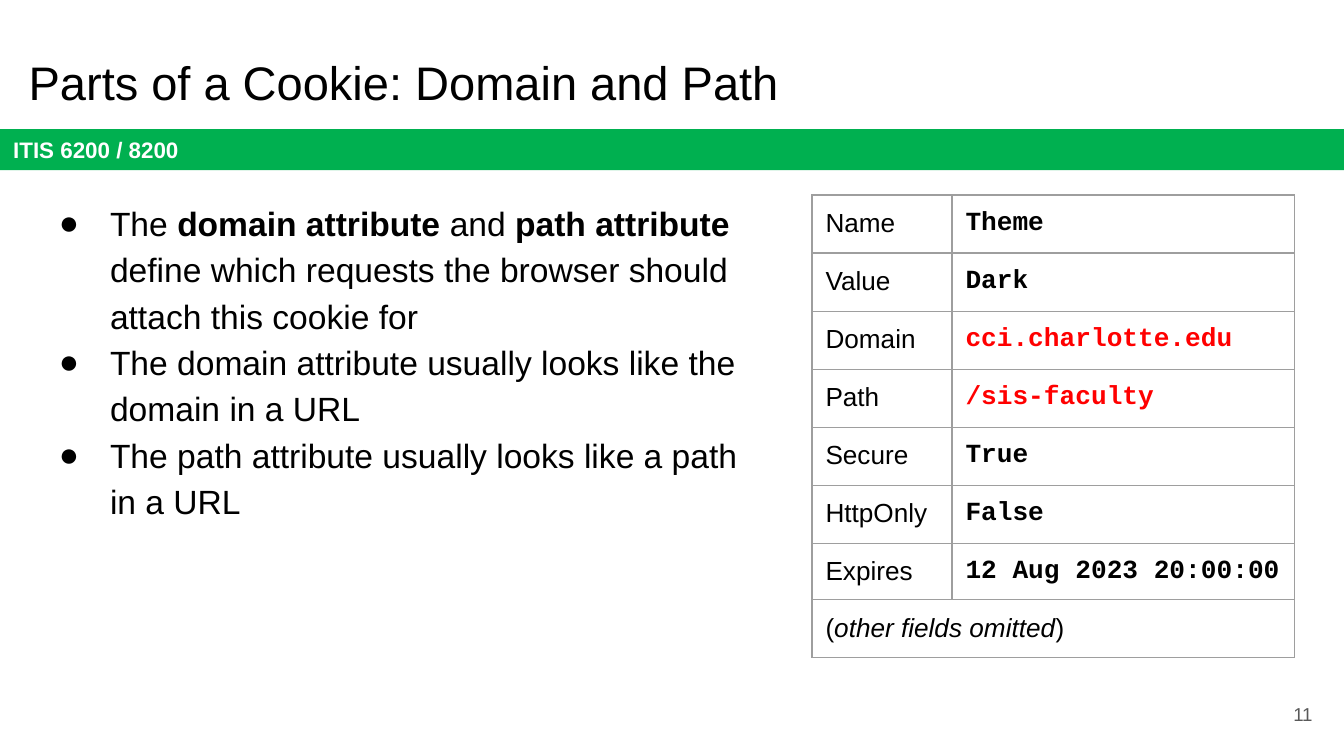
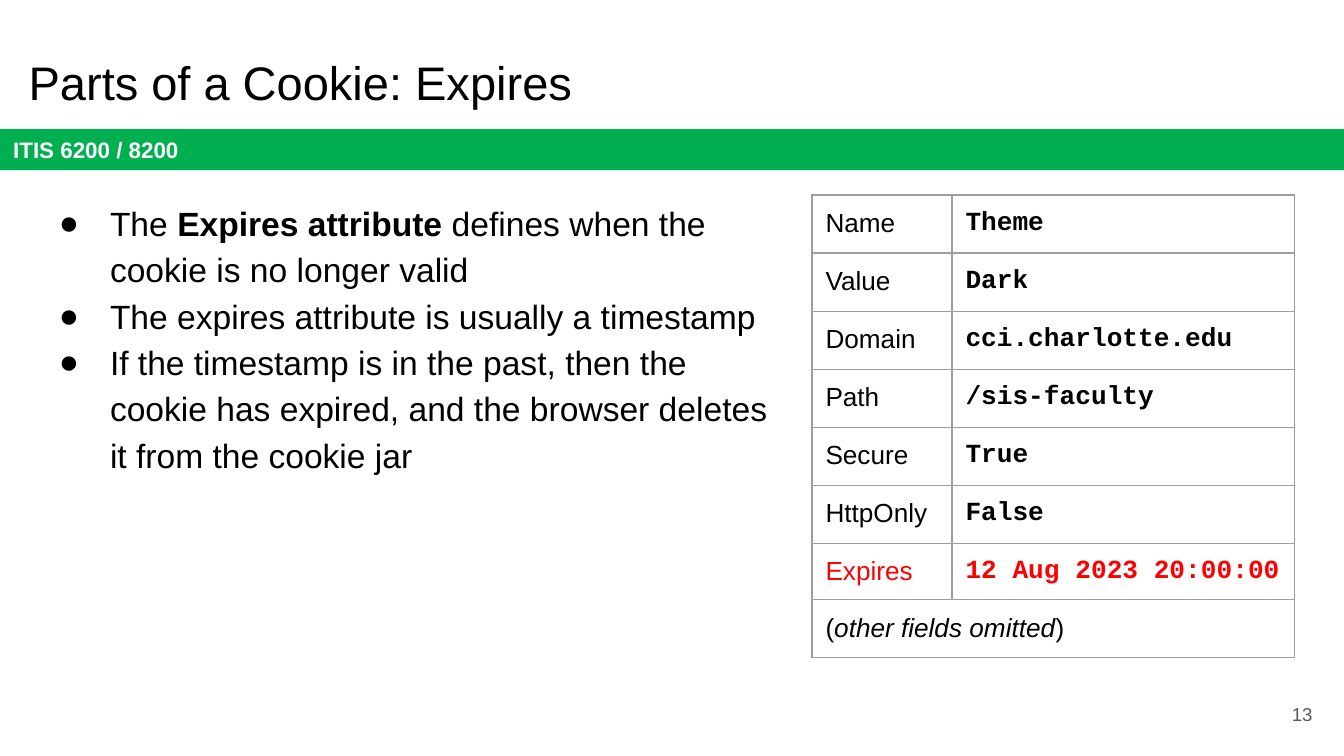
from dataclasses import dataclass

from lxml import etree
from pptx import Presentation
from pptx import util as u
from pptx.dml.color import RGBColor
from pptx.enum import shapes, text
from pptx.oxml import ns


@dataclass(frozen=True)
class Theme:
    sans: str = "Arial"
    mono: str = "Courier New"
    ink: str = "000000"
    white: str = "FFFFFF"
    band: str = "00B050"
    highlight: str = "FF0000"
    border: str = "9E9E9E"
    number: str = "595959"
    title_size: float = 25.2
    body_size: float = 18
    table_size: float = 14
    band_size: float = 12
    number_size: float = 10


theme = Theme()

SLIDES = [
    {
        "title": "Parts of a Cookie: Domain and Path",
        "number": "11",
        "bullets": [
            "The *domain attribute* and *path attribute* define which requests "
            "the browser should attach this cookie for",
            "The domain attribute usually looks like the domain in a URL",
            "The path attribute usually looks like a path in a URL",
        ],
        "highlighted": {"cci.charlotte.edu", "/sis-faculty"},
    },
    {
        "title": "Parts of a Cookie: Expires",
        "number": "13",
        "bullets": [
            "The *Expires attribute* defines when the cookie is no longer valid",
            "The expires attribute is usually a timestamp",
            "If the timestamp is in the past, then the cookie has expired, "
            "and the browser deletes it from the cookie jar",
        ],
        "highlighted": {"Expires", "12 Aug 2023 20:00:00"},
    },
]
COOKIE = [
    ("Name", "Theme"),
    ("Value", "Dark"),
    ("Domain", "cci.charlotte.edu"),
    ("Path", "/sis-faculty"),
    ("Secure", "True"),
    ("HttpOnly", "False"),
    ("Expires", "12 Aug 2023 20:00:00"),
    ("(*other fields omitted*)", ""),
]

presentation = Presentation()
presentation.slide_width = u.Inches(10)
presentation.slide_height = presentation.slide_width * 9 // 16
# The grid has 100 columns and 100 rows.
COLUMN = presentation.slide_width / 100
ROW = presentation.slide_height / 100
INSET = u.Inches(0.1)


def area(left, top, width, height):
    """Turn grid columns and rows into slide lengths."""
    return [int(n * unit) for n, unit in zip((left, top, width, height), (COLUMN, ROW) * 2)]


def write(paragraph, words, size, color=theme.ink, font=theme.sans, bold=False, emphasis="bold"):
    """Write words in one style, with the parts between asterisks emphasised."""
    for index, part in enumerate(words.split("*")):
        run = paragraph.add_run()
        run.text = part
        run.font.name = font
        run.font.size = u.Pt(size)
        run.font.color.rgb = RGBColor.from_string(color)
        run.font.bold = bold
        if index % 2:
            setattr(run.font, emphasis, True)


for content in SLIDES:
    slide = presentation.slides.add_slide(presentation.slide_layouts[5])

    band = slide.shapes.add_shape(shapes.MSO_SHAPE.RECTANGLE, *area(0, 17.1, 100, 5.4))
    band.shadow.inherit = False
    band.fill.solid()
    band.fill.fore_color.rgb = RGBColor.from_string(theme.band)
    band.line.fill.background()

    title = slide.shapes.title
    title.left, title.top, title.width, title.height = area(1.13, 5.1, 93.2, 11.2)
    body = slide.shapes.add_textbox(*area(2.2, 24.25, 56.2, 73.25))
    number = slide.shapes.add_textbox(*area(92.65, 90.67, 6, 7.65))

    for shape, anchor, align in (
        (band, text.MSO_ANCHOR.MIDDLE, text.PP_ALIGN.LEFT),
        (title, text.MSO_ANCHOR.BOTTOM, text.PP_ALIGN.LEFT),
        (body, text.MSO_ANCHOR.TOP, text.PP_ALIGN.LEFT),
        (number, text.MSO_ANCHOR.MIDDLE, text.PP_ALIGN.RIGHT),
    ):
        frame = shape.text_frame
        frame.word_wrap = True
        frame.auto_size = text.MSO_AUTO_SIZE.NONE
        frame.vertical_anchor = anchor
        frame.margin_left = frame.margin_right = INSET
        frame.margin_top = frame.margin_bottom = INSET
        frame.paragraphs[0].alignment = align

    write(band.text_frame.paragraphs[0], "ITIS 6200 / 8200", theme.band_size, theme.white, bold=True)
    write(title.text_frame.paragraphs[0], content["title"], theme.title_size)
    write(number.text_frame.paragraphs[0], content["number"], theme.number_size, theme.number)

    for index, bullet in enumerate(content["bullets"]):
        frame = body.text_frame
        paragraph = frame.add_paragraph() if index else frame.paragraphs[0]
        paragraph.line_spacing = 1.15
        properties = paragraph._p.get_or_add_pPr()
        properties.set("marL", str(u.Inches(0.5)))
        properties.set("indent", str(u.Inches(-0.38)))
        color = etree.SubElement(properties, ns.qn("a:buClr"))
        etree.SubElement(color, ns.qn("a:srgbClr"), val=theme.ink)
        etree.SubElement(properties, ns.qn("a:buFont"), typeface=theme.sans)
        etree.SubElement(properties, ns.qn("a:buChar"), char="●")
        write(paragraph, bullet, theme.body_size)

    table = slide.shapes.add_table(len(COOKIE), 2, *area(60.42, 25.8, 35.9, 61.2)).table
    table.first_row = table.horz_banding = False
    for column, width in zip(table.columns, (10.42, 25.5)):
        column.width = int(width * COLUMN)
    for row, (field, _) in zip(table.rows, COOKIE):
        row.height = int((7.12 if field == "Expires" else 7.68) * ROW)

    for row, entries in enumerate(COOKIE):
        for column, entry in enumerate(entries):
            cell = table.cell(row, column)
            cell.margin_left = cell.margin_right = INSET
            cell.margin_top = cell.margin_bottom = INSET
            for side in ("a:lnL", "a:lnR", "a:lnT", "a:lnB"):
                border = etree.SubElement(
                    cell._tc.get_or_add_tcPr(), ns.qn(side), w=str(u.Pt(0.75)))
                fill = etree.SubElement(border, ns.qn("a:solidFill"))
                etree.SubElement(fill, ns.qn("a:srgbClr"), val=theme.border)
            cell.fill.background()
            if entry:
                write(
                    cell.text_frame.paragraphs[0], entry, theme.table_size,
                    theme.highlight if entry in content["highlighted"] else theme.ink,
                    theme.mono if column else theme.sans,
                    bold=bool(column), emphasis="italic")
    last = len(COOKIE) - 1
    table.cell(last, 0).merge(table.cell(last, 1))

presentation.save("out.pptx")
